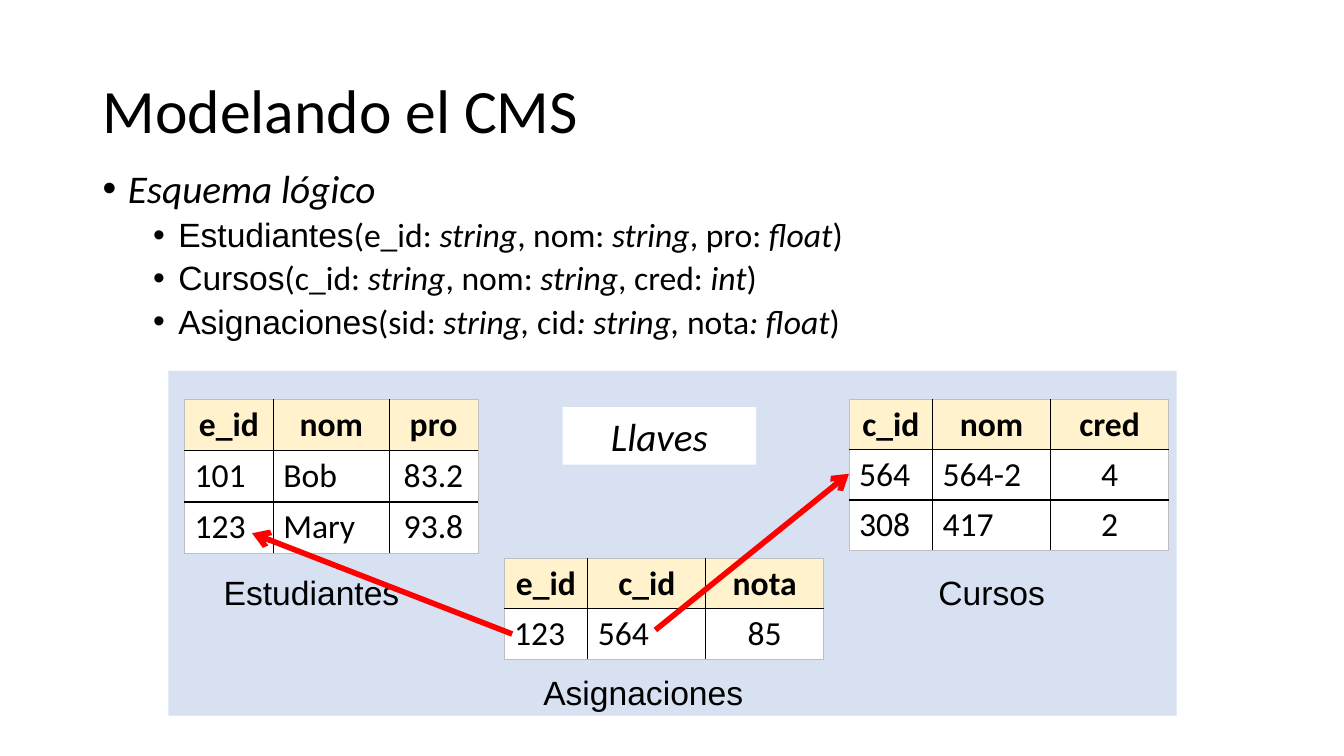
"""Build the slide on the logical schema of the CMS, with three tables and their keys."""
from lxml import etree
from pptx import Presentation
from pptx.dml.color import RGBColor
from pptx.enum.shapes import MSO_CONNECTOR, MSO_SHAPE
from pptx.enum.text import MSO_ANCHOR, PP_ALIGN
from pptx.oxml.ns import qn
from pptx.util import Inches, Pt

BLACK = RGBColor(0x00, 0x00, 0x00)
WHITE = RGBColor(0xFF, 0xFF, 0xFF)
CREAM = RGBColor(0xFF, 0xF2, 0xCC)
BLUE = RGBColor(0x44, 0x72, 0xC4)
RED = RGBColor(0xFF, 0x00, 0x00)
GRAY = RGBColor(0xBF, 0xBF, 0xBF)
LEFT, CENTER = PP_ALIGN.LEFT, PP_ALIGN.CENTER
MIDDLE = MSO_ANCHOR.MIDDLE
RECTANGLE = MSO_SHAPE.RECTANGLE
STRAIGHT = MSO_CONNECTOR.STRAIGHT


def add_span(para, text, size, font="Calibri", italic=False, bold=False):
    span = para.add_run()
    span.text = text
    span.font.size = Pt(size)
    span.font.name = font
    span.font.italic = italic
    span.font.bold = bold
    span.font.color.rgb = BLACK


def add_box(left, top, width, height):
    box = page.shapes.add_textbox(Inches(left), Inches(top), Inches(width), Inches(height))
    box.text_frame.word_wrap = True
    return box.text_frame


deck = Presentation()
deck.slide_width = Inches(13.33)
deck.slide_height = Inches(7.5)
page = deck.slides.add_slide(deck.slide_layouts[6])

title = add_box(0.92, 0.4, 11.5, 1.45)
title.vertical_anchor = MIDDLE
title.paragraphs[0].line_spacing = 0.9
add_span(title.paragraphs[0], "Modelando el CMS", 44)

# Text between asterisks is italic.
SCHEMA = [
    (0, "", "*Esquema lógico*"),
    (1, "Estudiantes", "(e_id: *string*, nom: *string*, pro: *float*)"),
    (1, "Cursos", "(c_id: *string*, nom: *string*, cred: *int*)"),
    (1, "Asignaciones", "(sid: *string, *cid*: string, *nota*: float*)"),
]
body = add_box(0.92, 1.63, 9, 4.95)
for index, (level, relation, fields) in enumerate(SCHEMA):
    para = body.add_paragraph() if index else body.paragraphs[0]
    size = 24 if level else 28
    para.level = level
    para.line_spacing = 0.9
    para.space_before = Pt(5 if level else 10)
    properties = para._p.get_or_add_pPr()
    properties.set("marL", str(Inches(0.25 + 0.5 * level)))
    properties.set("indent", str(Inches(-0.25)))
    etree.SubElement(properties, qn("a:buFont")).set("typeface", "Arial")
    etree.SubElement(properties, qn("a:buChar")).set("char", "•")
    if relation:
        add_span(para, relation, size, "Arial")
    for part, text in enumerate(fields.split("*")):
        if text:
            add_span(para, text, size, italic=part % 2 == 1)

panel = page.shapes.add_shape(RECTANGLE, Inches(1.67), Inches(3.68), Inches(10), Inches(3.42))
panel.shadow.inherit = False
panel.fill.solid()
panel.fill.fore_color.rgb = BLUE
panel.line.fill.background()
panel_color = panel.fill._xPr.find(qn("a:solidFill"))[0]
etree.SubElement(panel_color, qn("a:alpha")).set("val", "21000")

TABLES = [
    (1.83, 3.96, (0.88, 1.15, 0.88), 0.51,
     [("e_id", "nom", "pro"), ("101", "Bob", "83.2"), ("123", "Mary", "93.8")]),
    (8.42, 3.96, (0.83, 1.17, 1.17), 0.5,
     [("c_id", "nom", "cred"), ("564", "564-2", "4"), ("308", "417", "2")]),
    (5, 5.54, (0.83, 1.17, 1.17), 0.5,
     [("e_id", "c_id", "nota"), ("123", "564", "85")]),
]
for left, top, widths, row_height, rows in TABLES:
    frame = page.shapes.add_table(len(rows), len(widths), Inches(left), Inches(top),
                                  Inches(sum(widths)), Inches(row_height * len(rows)))
    table = frame.table
    for column, width in zip(table.columns, widths):
        column.width = Inches(width)
    last_row, last_column = len(rows) - 1, len(widths) - 1
    for r, values in enumerate(rows):
        table.rows[r].height = Inches(row_height)
        for c, value in enumerate(values):
            cell = table.cell(r, c)
            para = cell.text_frame.paragraphs[0]
            para.alignment = CENTER if r == 0 or c == last_column else LEFT
            add_span(para, value, 24, bold=r == 0)
            outer_edges = {"a:lnL": c == 0, "a:lnR": c == last_column,
                           "a:lnT": r == 0, "a:lnB": r == last_row}
            for edge, outer in outer_edges.items():
                border = etree.SubElement(cell._tc.get_or_add_tcPr(), qn(edge))
                border.set("w", str(Pt(0.5 if outer else 1)))
                paint = etree.SubElement(border, qn("a:solidFill"))
                etree.SubElement(paint, qn("a:srgbClr")).set("val", str(GRAY if outer else BLACK))
            cell.fill.solid()
            cell.fill.fore_color.rgb = CREAM if r == 0 else WHITE

for name, left, top, width in [("Estudiantes", 2.09, 5.62, 2),
                               ("Cursos", 8.92, 5.62, 1.83),
                               ("Asignaciones", 5.26, 6.62, 2.24)]:
    para = add_box(left, top, width, 0.5).paragraphs[0]
    para.alignment = CENTER
    add_span(para, name, 24, "Arial")

keys = page.shapes.add_shape(RECTANGLE, Inches(5.58), Inches(4.04), Inches(1.92), Inches(0.57))
keys.shadow.inherit = False
keys.fill.solid()
keys.fill.fore_color.rgb = WHITE
keys.line.fill.background()
keys.text_frame.vertical_anchor = MIDDLE
keys.text_frame.paragraphs[0].alignment = CENTER
add_span(keys.text_frame.paragraphs[0], "Llaves", 28, italic=True)

for x1, y1, x2, y2 in [(5.08, 6.29, 2.5, 5.29), (6.5, 6.25, 8.42, 4.7)]:
    arrow = page.shapes.add_connector(STRAIGHT, Inches(x1), Inches(y1), Inches(x2), Inches(y2))
    arrow.line.color.rgb = RED
    arrow.line.width = Pt(4)
    etree.SubElement(arrow.line._get_or_add_ln(), qn("a:tailEnd")).set("type", "arrow")
    etree.SubElement(arrow._element.spPr, qn("a:effectLst"))

deck.save("out.pptx")
